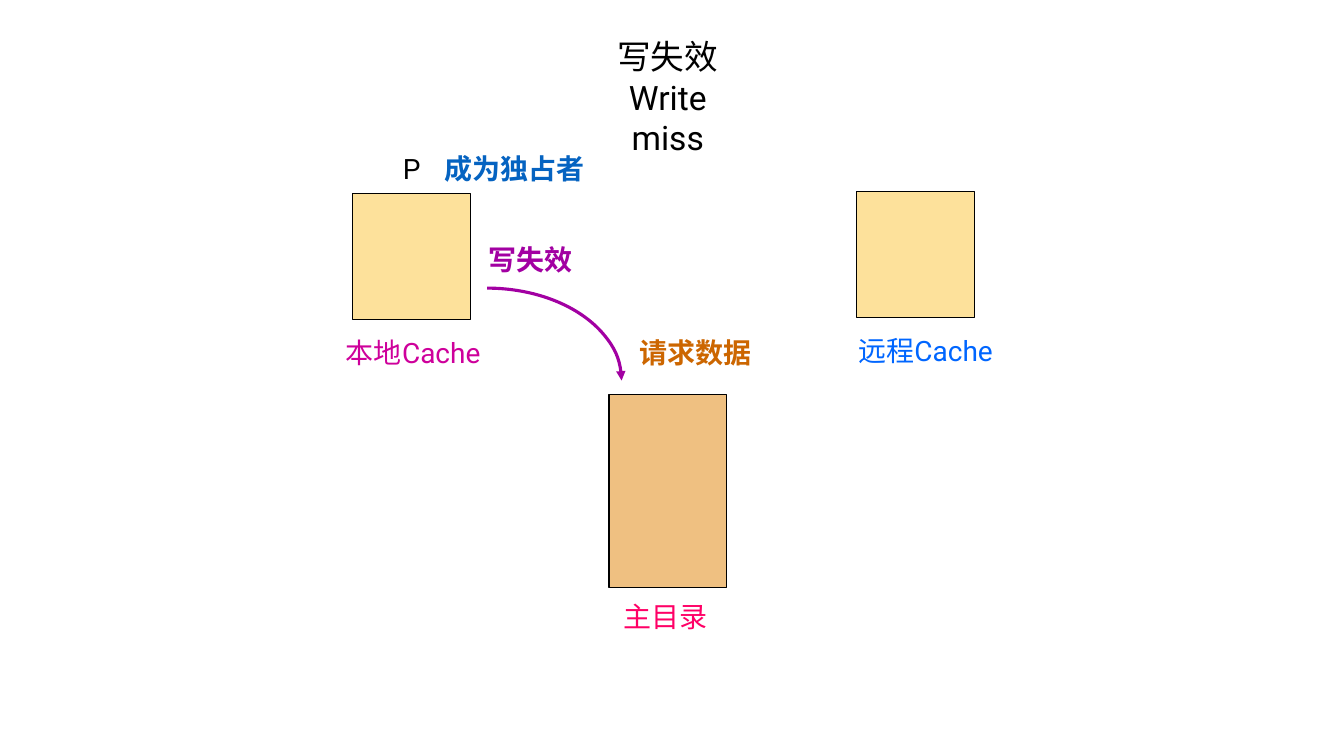
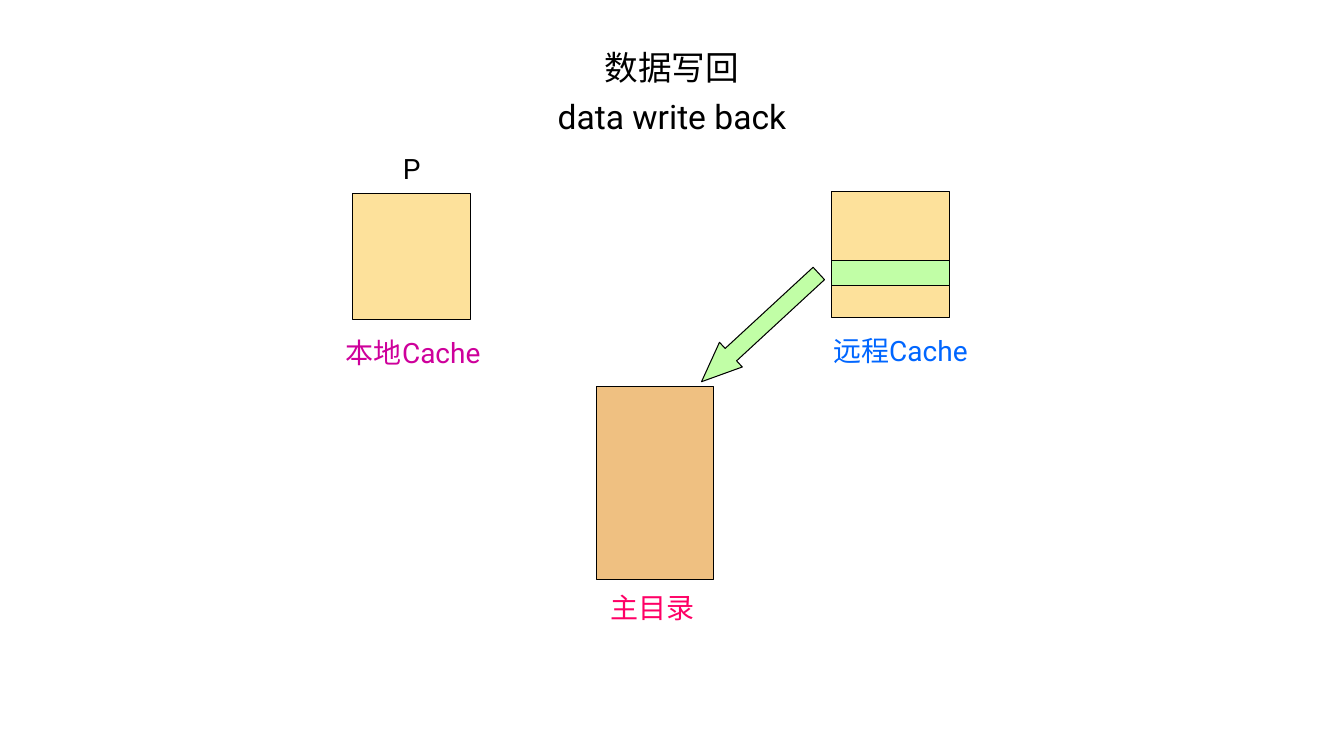
from lxml import etree
from pptx import Presentation
from pptx.dml.color import RGBColor
from pptx.enum.shapes import MSO_SHAPE
from pptx.enum.text import MSO_ANCHOR, MSO_AUTO_SIZE, PP_ALIGN
from pptx.oxml.ns import qn
from pptx.util import Inches, Pt

RECT, ARC, LEFT_ARROW = MSO_SHAPE.RECTANGLE, MSO_SHAPE.ARC, MSO_SHAPE.LEFT_ARROW
TOP, CENTER, NO_FIT = MSO_ANCHOR.TOP, PP_ALIGN.CENTER, MSO_AUTO_SIZE.NONE

COLS, ROWS = 160, 90          # the slide is a grid of 1/12 inch cells
CELL = Inches(1) / 12
FONT = "Roboto"
TITLE_SIZE, LABEL_SIZE = Pt(24), Pt(20)
TITLE_ONLY = 5

CACHE_W, CACHE_H = 14, 15
DIRECTORY_H = 23
LABEL_H = 5.2

BLACK = RGBColor(0x00, 0x00, 0x00)
CACHE_FILL = RGBColor(0xFD, 0xE1, 0x9B)
DIRECTORY_FILL = RGBColor(0xEF, 0xC0, 0x81)
DATA_FILL = RGBColor(0xC1, 0xFE, 0xA6)
LOCAL = RGBColor(0xCE, 0x00, 0x9B)
REMOTE = RGBColor(0x00, 0x66, 0xFF)
DIRECTORY = RGBColor(0xFF, 0x00, 0x66)
MISS = RGBColor(0xA2, 0x00, 0xA2)
OWNER = RGBColor(0x05, 0x63, 0xC1)
REQUEST = RGBColor(0xCC, 0x66, 0x00)


def grid(*cells):
    return [round(n * CELL) for n in cells]


def style(p, size, color, bold=False):
    p.font.name, p.font.size, p.font.bold = FONT, size, bold
    p.font.color.rgb = color


def add_title(s, lines, x, y, w, h, gap=0):
    title = s.shapes.title
    title.left, title.top, title.width, title.height = grid(x, y, w, h)
    tf = title.text_frame
    tf.text = "\n".join(lines)
    tf.auto_size, tf.vertical_anchor, tf.word_wrap = NO_FIT, TOP, True
    for i, p in enumerate(tf.paragraphs):
        p.alignment = CENTER
        p.space_before = Pt(gap if i else 0)
        style(p, TITLE_SIZE, BLACK)


def add_label(s, text, x, y, w, color, bold=False):
    tf = s.shapes.add_textbox(*grid(x, y, w, LABEL_H)).text_frame
    tf.word_wrap = True
    p = tf.paragraphs[0]
    p.text = text
    style(p, LABEL_SIZE, color, bold)
    return p


def add_block(s, kind, x, y, w, h, fill):
    sp = s.shapes.add_shape(kind, *grid(x, y, w, h))
    sp.shadow.inherit = False
    sp.fill.solid()
    sp.fill.fore_color.rgb = fill
    sp.line.color.rgb = BLACK
    sp.line.width = Pt(0.75)
    return sp


def add_cache(s, text, x, y, color, label_dx, label_w):
    add_block(s, RECT, x, y, CACHE_W, CACHE_H, CACHE_FILL)
    add_label(s, text, x + label_dx, y + CACHE_H + 1.35, label_w, color)


def add_directory(s, x, y):
    add_block(s, RECT, x, y, CACHE_W, DIRECTORY_H, DIRECTORY_FILL)
    p = add_label(s, "主目录", x + 0.5, y + DIRECTORY_H + 1.2, 17, DIRECTORY)
    p.line_spacing = 0.9


def add_curved_arrow(s, x, y, w, h, color):
    """Quarter ellipse that leaves (x, y) to the right and ends w across, h down."""
    sp = s.shapes.add_shape(ARC, *grid(x - w, y, 2 * w, 2 * h))
    sp.shadow.inherit = False
    sp.fill.background()
    sp.line.color.rgb = color
    sp.line.width = Pt(2.25)
    etree.SubElement(sp.line._get_or_add_ln(), qn("a:tailEnd"), type="triangle")


def add_system(prs, remote_x, directory_x, directory_y):
    """Slide with the local cache, the remote cache and the home directory."""
    s = prs.slides.add_slide(prs.slide_layouts[TITLE_ONLY])
    add_cache(s, "本地Cache", 42, 23, LOCAL, -2, 22)
    add_directory(s, directory_x, directory_y)
    add_cache(s, "远程Cache", remote_x, 22.8, REMOTE, -1, 21)
    add_label(s, "P", 46.8, 17.5, 6, BLACK)
    return s


def add_write_miss(prs):
    s = add_system(prs, 102, 72.5, 47)
    add_title(s, ["写失效", "Write miss"], 69, 3.7, 21, 10.9)
    add_label(s, "写失效", 57, 28.3, 16, MISS, bold=True)
    add_curved_arrow(s, 58, 34.3, 16, 11, MISS)
    add_label(s, "成为独占者", 51.7, 17.4, 29, OWNER, bold=True)
    add_label(s, "请求数据", 75, 39.4, 17, REQUEST, bold=True)


def add_write_back(prs):
    remote_x = 99
    s = add_system(prs, remote_x, 71, 46)
    add_title(s, ["数据写回", "data write back"], 61, 5, 38, 11.9, gap=6)
    arrow = add_block(s, LEFT_ARROW, 81, 37, 19, 4, DATA_FILL)
    arrow.adjustments[0], arrow.adjustments[1] = 0.5, 1.19
    arrow.rotation = 317.3
    add_block(s, RECT, remote_x, 31, CACHE_W, 3, DATA_FILL)


def main():
    prs = Presentation()
    prs.slide_width, prs.slide_height = grid(COLS, ROWS)
    add_write_miss(prs)
    add_write_back(prs)
    prs.save("out.pptx")


if __name__ == "__main__":
    main()
